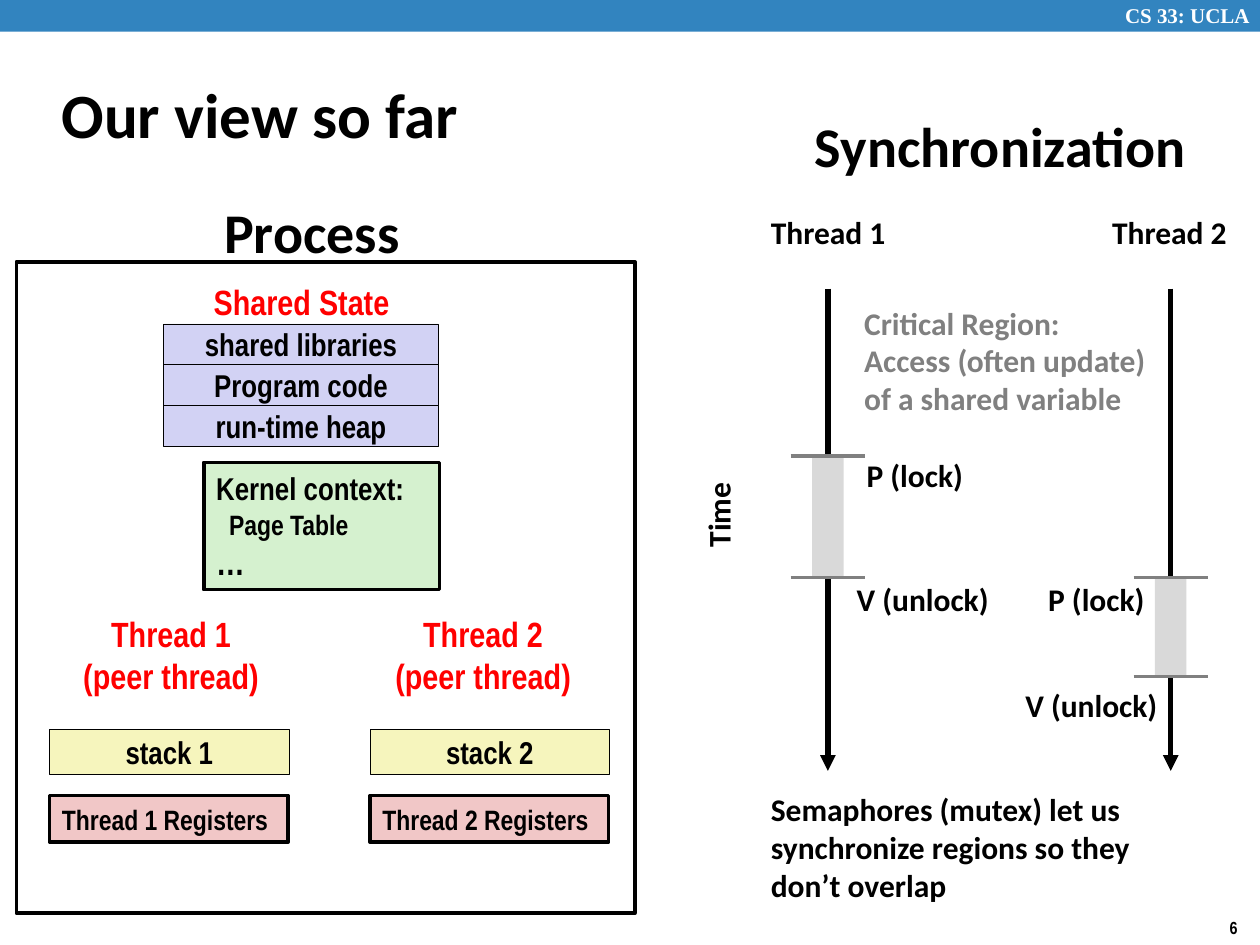
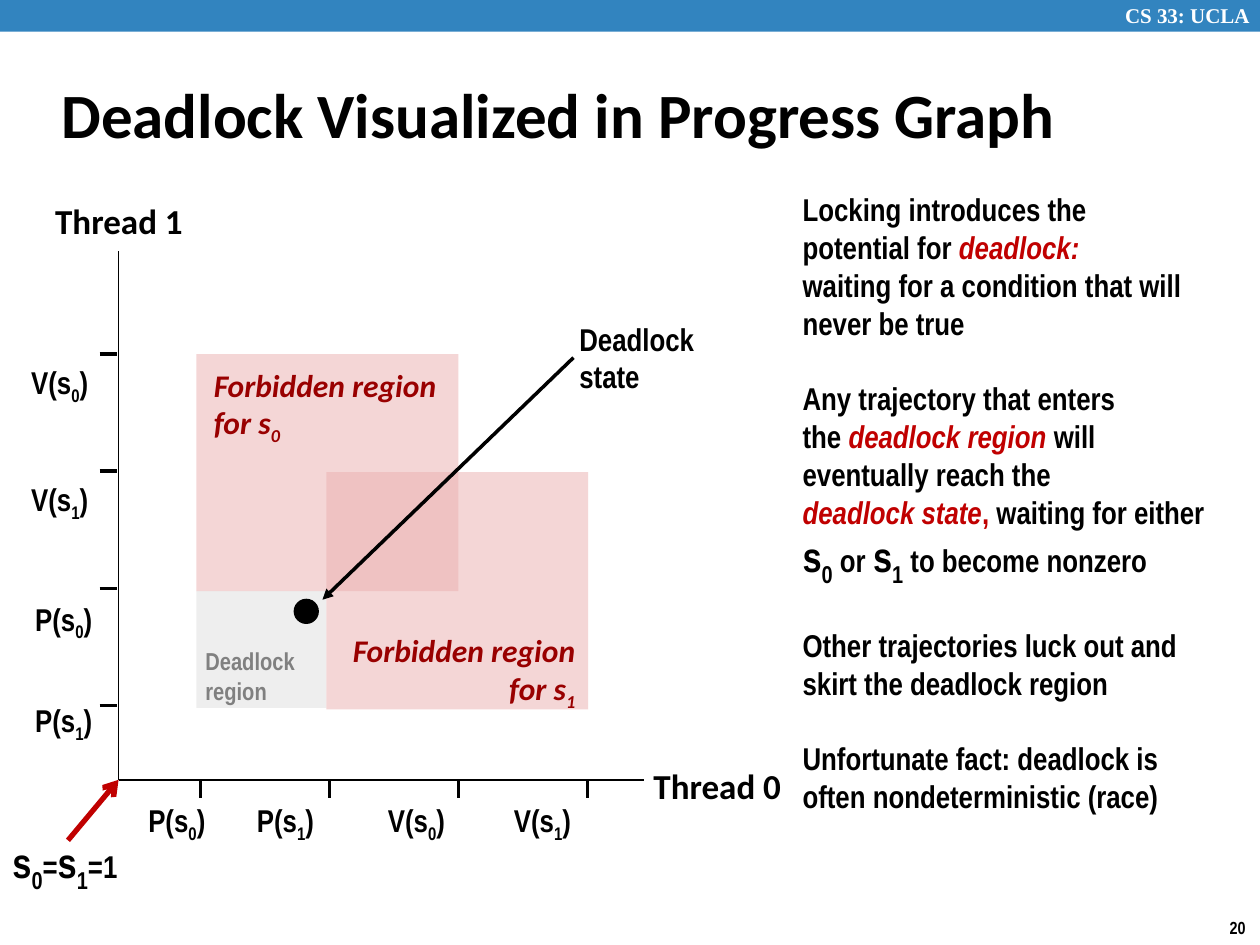
from lxml.etree import SubElement
from pptx import Presentation
from pptx.dml.color import RGBColor
from pptx.enum.shapes import MSO_CONNECTOR, MSO_SHAPE
from pptx.enum.text import MSO_ANCHOR, MSO_AUTO_SIZE, PP_ALIGN
from pptx.oxml.ns import qn
from pptx.util import Cm, Pt

# ---- Shared look ----
BLACK, WHITE, BAND = "000000", "FFFFFF", "3284BF"
RED, DARK_RED, MAROON, GREY = "FF0000", "C00000", "990000", "808080"
LILAC, GREEN, YELLOW, PINK = "D2D2F4", "D5F1CF", "F6F5BD", "F1C7C7"
LOCKED, FORBIDDEN, DEADLOCK = "D9D9D9", "EBAFAF", "CCCCCC"
NARROW, CALIBRI, TIMES = "Arial Narrow", "Calibri", "Times New Roman"
CENTER, RIGHT, MIDDLE = PP_ALIGN.CENTER, PP_ALIGN.RIGHT, MSO_ANCHOR.MIDDLE
COURSE = "CS 33: UCLA"
LINE_GAP = 21.6  # one line of 18 pt body text

# ---- Content: overview (places in cm) ----
# thread number, left of its boxes, left of its heading
PEERS = [(1, 1.0, 1.33), (2, 7.46, 7.62)]
SHARED_MEMORY = ["shared libraries", "Program code", "run-time heap"]
# thread name, name left, timeline x, lock y, unlock y
TIMELINES = [
    ("Thread 1", 15.29, 16.69, 9.19, 11.64),
    ("Thread 2", 22.17, 23.6, 11.64, 13.64),
]
LOCK_LABELS = [
    ("P (lock)", 17.22, 9.07, 2.49), ("V (unlock)", 17.02, 11.56, 3.2),
    ("P (lock)", 20.88, 11.56, 2.49), ("V (unlock)", 20.42, 13.69, 3.2),
]
CRITICAL = "Critical Region: Access (often update) of a shared variable"
SEMAPHORES = ("Semaphores (mutex) let us synchronize regions "
              "so they don’t overlap")

# ---- Content: progress graph ----
SUB = {"baseline": -25000}
BIG = {"size": 24}
BIG_SUB = {"size": 24, "baseline": -25000}
KEY = {"color": DARK_RED, "italic": True}

# each paragraph is a list of spans; each group starts after a gap
EXPLANATION = [
    [["Locking introduces the"],
     ["potential for ", ("deadlock:", KEY)],
     ["waiting for a condition that will never be true"]],
    [["Any trajectory that enters"],
     ["the ", ("deadlock region ", KEY), "will"],
     ["eventually reach the"],
     [("deadlock state", KEY), (", ", {"color": DARK_RED}),
      "waiting for either ", ("s", BIG), ("0", BIG_SUB), " or ",
      ("s", BIG), ("1", BIG_SUB), " to become nonzero"]],
    [["Other trajectories luck out and skirt the deadlock region"]],
    [["Unfortunate fact: deadlock is often nondeterministic (race)"]],
]
START_STATE = [("s", BIG), ("0", BIG_SUB), "=", ("s", BIG), ("1", BIG_SUB), "=1"]
# operation, semaphore, label offset along the axis
THREAD_0_STEPS = [("P", 0, 2.74), ("P", 1, 4.93), ("V", 0, 7.57), ("V", 1, 10.11)]
THREAD_1_STEPS = [("P", 1, 14.05), ("P", 0, 12.01), ("V", 1, 9.6), ("V", 0, 7.24)]
# semaphore, region left and top, label left, top and alignment
FORBIDDEN_REGIONS = [
    (0, 3.96, 7.14, 4.06, 7.24, None),
    (1, 6.58, 9.52, 6.63, 12.6, RIGHT),
]
ORIGIN_X, ORIGIN_Y = 2.39, 15.72


# ---- Helpers ----
def rgb(code):
    return RGBColor.from_string(code)


def write(box, paragraphs, font=NARROW, size=18, color=BLACK, italic=False,
          align=None, anchor=MSO_ANCHOR.TOP, wrap=False, grow=True, inset=0.13):
    """Fill a box; a paragraph is a string or a list of spans."""
    frame = box.text_frame
    frame.word_wrap = wrap
    frame.auto_size = MSO_AUTO_SIZE.SHAPE_TO_FIT_TEXT if grow else MSO_AUTO_SIZE.NONE
    frame.vertical_anchor = anchor
    frame.margin_top = frame.margin_bottom = Cm(inset)
    for index, spans in enumerate(paragraphs):
        para = frame.add_paragraph() if index else frame.paragraphs[0]
        para.alignment = align or PP_ALIGN.LEFT
        for item in [spans] if isinstance(spans, str) else spans:
            words, style = (item, {}) if isinstance(item, str) else item
            span = para.add_run()
            span.text = words
            span.font.name = font
            span.font.bold = True
            span.font.italic = style.get("italic", italic)
            span.font.size = Pt(style.get("size", size))
            span.font.color.rgb = rgb(style.get("color", color))
            if "baseline" in style:
                span._r.get_or_add_rPr().set("baseline", str(style["baseline"]))
    return box


def label(page, place, *paragraphs, **style):
    box = page.shapes.add_textbox(*map(Cm, place))
    return write(box, paragraphs, **style)


def block(page, place, fill=None, line=None, alpha=None, kind=MSO_SHAPE.RECTANGLE):
    box = page.shapes.add_shape(kind, *map(Cm, place))
    box.shadow.inherit = False
    if fill:
        box.fill.solid()
        box.fill.fore_color.rgb = rgb(fill)
        if alpha:
            tint = box._element.spPr.find(".//" + qn("a:srgbClr"))
            SubElement(tint, qn("a:alpha")).set("val", str(alpha * 1000))
    else:
        box.fill.background()
    if line:
        box.line.color.rgb = rgb(BLACK)
        box.line.width = Pt(line)
    else:
        box.line.fill.background()
    return box


def stroke(page, start, end, width, color=BLACK, head=None):
    line = page.shapes.add_connector(MSO_CONNECTOR.STRAIGHT, *map(Cm, start + end))
    line.line.color.rgb = rgb(color)
    line.line.width = Pt(width)
    if head:
        SubElement(line.line._get_or_add_ln(), qn("a:tailEnd")).set("type", head)
    SubElement(line._element.spPr, qn("a:effectLst"))


def new_page(deck, title, number):
    page = deck.slides.add_slide(deck.slide_layouts[6])
    block(page, (0, 0, 25.4, 0.64), BAND)
    label(page, (22.43, -0.08, 3.15, 0.76), COURSE, font=TIMES, size=12,
          color=WHITE, wrap=True)
    label(page, (24.54, 18.36, 0.86, 0.69), number, size=10)
    label(page, (0.99, 1.22, 21.08, 2.11), title, font=CALIBRI, size=36,
          anchor=MIDDLE, wrap=True, grow=False)
    return page


def step(operation, semaphore):
    return [operation + "(s", (str(semaphore), SUB), ")"]


# ---- Slide: process and synchronization ----
def draw_process(page):
    label(page, (4.27, 3.86, 4.09, 1.63), "Process", font=CALIBRI, size=32)
    block(page, (0.33, 5.28, 12.47, 13.13), line=2)
    heading = {"size": 20, "color": RED, "align": CENTER, "anchor": MIDDLE}
    label(page, (3.96, 5.51, 4.24, 1.12), "Shared State", **heading)

    # Shared memory rows
    for row, name in enumerate(SHARED_MEMORY):
        box = block(page, (3.3, 6.53 + 0.82 * row, 5.54, 0.82), LILAC, 0.25)
        write(box, [name], align=CENTER, anchor=MIDDLE, grow=False)

    # Kernel context
    kernel = block(page, (4.11, 9.32, 4.75, 2.57), GREEN, 2)
    write(kernel, ["Kernel context:", [("Page Table", {"size": 16})],
                   [("…", {"size": 20})]], anchor=MIDDLE, wrap=True)
    page_table = kernel.text_frame.paragraphs[1]._p.get_or_add_pPr()
    page_table.set("marL", str(Cm(0.26)))

    # Private state of each peer thread
    for number, left, heading_left in PEERS:
        label(page, (heading_left, 12.22, 4.24, 1.96), f"Thread {number}",
              "(peer thread)", **heading)
        stack = block(page, (left, 14.71, 4.83, 0.89), YELLOW, 0.25)
        write(stack, [f"stack {number}"], align=CENTER, anchor=MIDDLE, grow=False)
        registers = block(page, (left, 16.04, 4.81, 0.94), PINK, 2)
        write(registers, [f"Thread {number} Registers"], size=16,
              anchor=MIDDLE, wrap=True)


def draw_synchronization(page):
    label(page, (16.18, 2.11, 8.05, 1.63), "Synchronization", font=CALIBRI, size=32)
    for name, name_left, x, lock, unlock in TIMELINES:
        label(page, (name_left, 4.17, 2.84, 1.02), name, font=CALIBRI)
        stroke(page, (x, 5.82), (x, 15.54), 3, head="triangle")
        block(page, (x - 0.32, lock, 0.64, unlock - lock), LOCKED)
        for y in (lock, unlock):
            stroke(page, (x - 0.75, y), (x + 0.75, y), 2, GREY)
    for words, left, top, width in LOCK_LABELS:
        label(page, (left, top, width, 1.02), words, font=CALIBRI)
    label(page, (13.56, 9.86, 1.83, 1.02), "Time", font=CALIBRI).rotation = 270
    label(page, (17.17, 5.99, 6.27, 2.57), CRITICAL, font=CALIBRI,
          color=GREY, wrap=True)
    label(page, (15.29, 15.8, 8.33, 2.57), SEMAPHORES, font=CALIBRI, wrap=True)


# ---- Slide: progress graph ----
def draw_axes(page):
    origin = (ORIGIN_X, ORIGIN_Y)
    stroke(page, origin, (12.98, ORIGIN_Y), 1)
    stroke(page, origin, (ORIGIN_X, 5.05), 1)
    for name, left, top in [("Thread 0", 12.9, 15.27), ("Thread 1", 0.84, 3.89)]:
        label(page, (left, top, 3.12, 1.12), name, font=CALIBRI, size=20,
              align=CENTER, anchor=MIDDLE)
    for index, (operation, semaphore, left) in enumerate(THREAD_0_STEPS):
        x = 4.04 + 2.6 * index
        stroke(page, (x, ORIGIN_Y), (x, ORIGIN_Y + 0.36), 2)
        label(page, (left, 16.08, 1.75, 1.02), step(operation, semaphore),
              anchor=MIDDLE)
    for index, (operation, semaphore, top) in enumerate(THREAD_1_STEPS):
        y = 14.22 - 2.36 * index
        stroke(page, (ORIGIN_X - 0.38, y), (ORIGIN_X - 0.03, y), 2)
        left = 0.46 if operation == "P" else 0.38
        label(page, (left, top, 1.75, 1.02), step(operation, semaphore),
              anchor=MIDDLE)
    label(page, (0, 16.94, 2.74, 1.02), START_STATE, anchor=MIDDLE, inset=0)
    stroke(page, (1.37, 16.94), origin, 3, DARK_RED, "arrow")


def draw_regions(page):
    block(page, (3.96, 11.91, 2.62, 2.36), DEADLOCK, alpha=32)
    for _, left, top, *_ in FORBIDDEN_REGIONS:
        block(page, (left, top, 5.28, 4.78), FORBIDDEN, alpha=50)
    for semaphore, _, _, left, top, align in FORBIDDEN_REGIONS:
        label(page, (left, top, 5.22, 1.8), "Forbidden region",
              ["for s", (str(semaphore), SUB)], font=CALIBRI, color=MAROON,
              italic=True, align=align)
    block(page, (5.92, 12.07, 0.51, 0.51), BLACK, kind=MSO_SHAPE.OVAL)
    label(page, (11.43, 6.43, 2.97, 1.55), "Deadlock", "state",
          anchor=MIDDLE, inset=0)
    stroke(page, (11.56, 7.21), (6.5, 12.09), 2, head="triangle")
    label(page, (3.89, 13.03, 2.44, 1.19), "Deadlock", "region", size=14,
          color=GREY, anchor=MIDDLE, inset=0)


def draw_explanation(page):
    paragraphs = [spans for group in EXPLANATION for spans in group]
    box = label(page, (15.93, 3.84, 8.64, 13.34), *paragraphs, wrap=True, inset=0)
    first = 0
    for group in EXPLANATION[:-1]:
        first += len(group)
        box.text_frame.paragraphs[first].space_before = Pt(LINE_GAP)


def main():
    deck = Presentation()
    deck.slide_width, deck.slide_height = Cm(25.4), Cm(19.05)

    overview = new_page(deck, "Our view so far", "6")
    draw_process(overview)
    draw_synchronization(overview)

    graph = new_page(deck, "Deadlock Visualized in Progress Graph", "20")
    draw_axes(graph)
    draw_regions(graph)
    draw_explanation(graph)

    deck.save("out.pptx")


if __name__ == "__main__":
    main()
